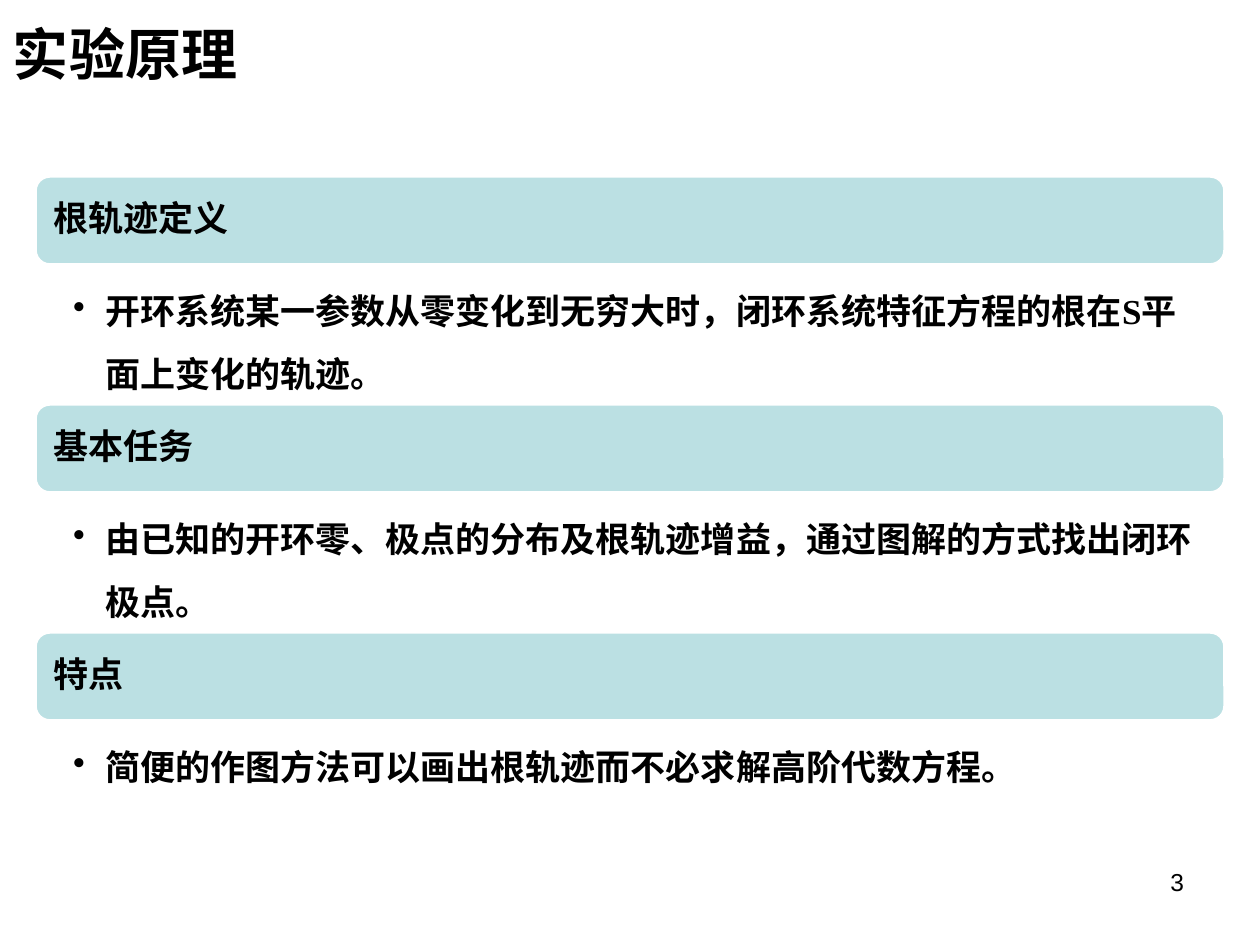
from lxml.etree import SubElement
from pptx import Presentation
from pptx.dml.color import RGBColor
from pptx.enum.shapes import MSO_SHAPE
from pptx.enum.text import MSO_ANCHOR, PP_ALIGN
from pptx.oxml.ns import qn
from pptx.util import Pt

EMU_PER_PIXEL = 914400 / 126


def px(length):
    return round(length * EMU_PER_PIXEL)


def color(hex_value):
    return RGBColor.from_string(hex_value)


def apply(target, values):
    for name, value in values.items():
        setattr(target, name, value)


class SlideBuilder:
    TEXT, BAR, EDGE = "000000", "BBE0E3", "FFFFFF"
    FONT = "Times New Roman"

    def __init__(self, presentation):
        self.slide = presentation.slides.add_slide(presentation.slide_layouts[5])

    def fill_text(self, shape, text, size, insets=(13, 6, 13, 6), font=FONT, bold=True,
                  anchor=MSO_ANCHOR.TOP, **paragraph_format):
        frame = shape.text_frame
        sides = ("margin_left", "margin_top", "margin_right", "margin_bottom")
        apply(frame, dict(zip(sides, map(px, insets)), word_wrap=True, vertical_anchor=anchor))
        paragraph = frame.paragraphs[0]
        apply(paragraph, {"alignment": PP_ALIGN.LEFT, **paragraph_format})
        run = paragraph.add_run()
        run.text = text
        apply(run.font, {"name": font, "size": Pt(size), "bold": bold})
        run.font.color.rgb = color(self.TEXT)
        return paragraph

    def title(self, text, box):
        title = self.slide.shapes.title
        apply(title, dict(zip(("left", "top", "width", "height"), map(px, box))))
        self.fill_text(title, text, 32, anchor=MSO_ANCHOR.MIDDLE)

    def text(self, text, box, size, **text_format):
        holder = self.slide.shapes.add_textbox(*map(px, box))
        return self.fill_text(holder, text, size, **text_format)

    def heading_bar(self, text, box):
        bar = self.slide.shapes.add_shape(MSO_SHAPE.ROUNDED_RECTANGLE, *map(px, box))
        bar.shadow.inherit = False
        bar.fill.solid()
        bar.fill.fore_color.rgb = color(self.BAR)
        bar.line.color.rgb = color(self.EDGE)
        bar.line.width = Pt(2)
        self.fill_text(bar, text, 20, insets=(14, 10, 14, 10), anchor=MSO_ANCHOR.MIDDLE,
                       line_spacing=0.9, space_after=Pt(7))

    def bullet(self, text, box):
        paragraph = self.text(text, box, 20, insets=(38, 4, 20, 4),
                              level=1, line_spacing=1.5, space_after=Pt(4))
        properties = paragraph._p.get_or_add_pPr()
        properties.set("marL", str(px(32)))
        properties.set("indent", str(-px(32)))
        SubElement(properties, qn("a:buChar")).set("char", "•")


presentation = Presentation()
apply(presentation, {"slide_width": px(1260), "slide_height": px(945)})
builder = SlideBuilder(presentation)

# Title
builder.title("实验原理", (0, 0, 1134, 106))

# Three sections, each a heading bar over one bullet
SECTIONS = [
    ("根轨迹定义", "开环系统某一参数从零变化到无穷大时，闭环系统特征方程的根在S平面上变化的轨迹。"),
    ("基本任务", "由已知的开环零、极点的分布及根轨迹增益，通过图解的方式找出闭环极点。"),
    ("特点", "简便的作图方法可以画出根轨迹而不必求解高阶代数方程。"),
]
LEFT, TOP, WIDTH = 35, 176, 1190
BAR_HEIGHT, BODY_HEIGHT = 89, 139
for index, (heading, explanation) in enumerate(SECTIONS):
    top = TOP + index * (BAR_HEIGHT + BODY_HEIGHT)
    builder.heading_bar(heading, (LEFT, top, WIDTH, BAR_HEIGHT))
    builder.bullet(explanation, (LEFT, top + BAR_HEIGHT, WIDTH, BODY_HEIGHT))

# Page number
builder.text("3", (903, 861, 294, 66), 14, font="Arial", bold=False,
             alignment=PP_ALIGN.RIGHT)

presentation.save("out.pptx")
